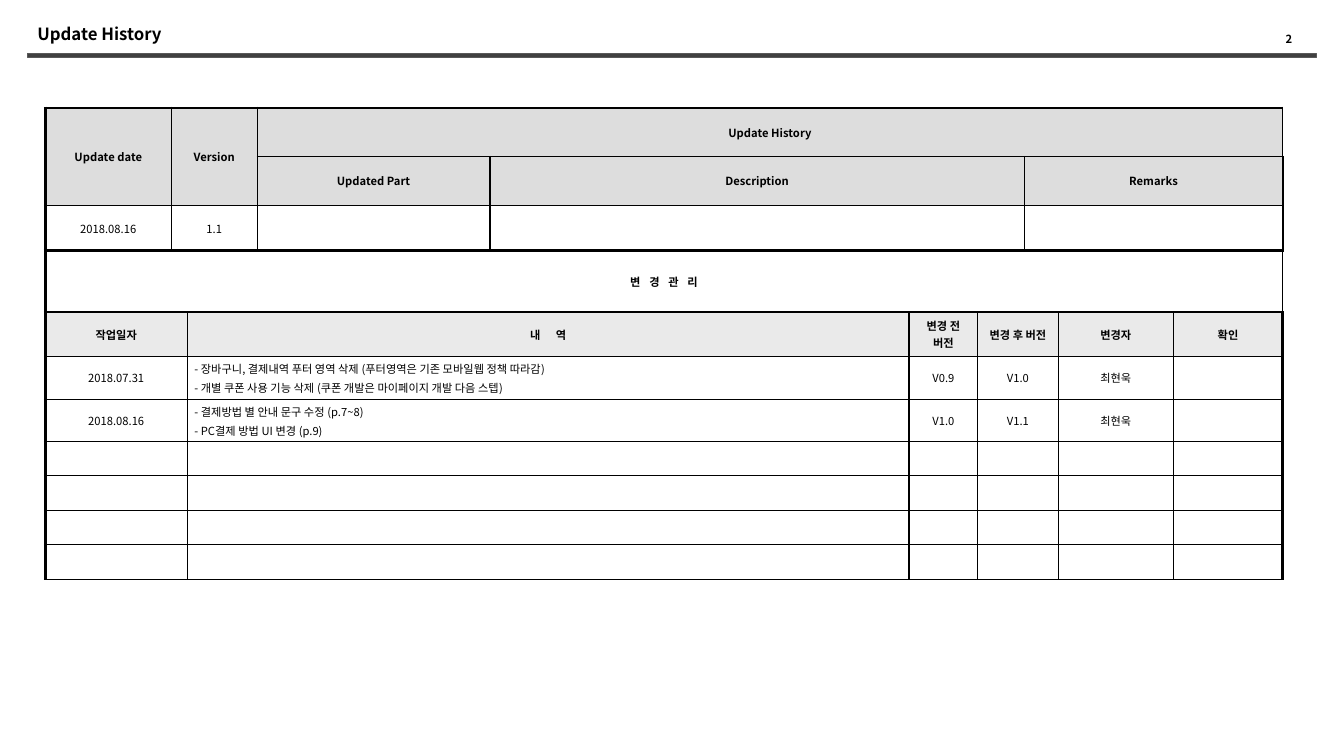
"""Build the update history page: a title bar and two revision tables."""
from lxml import etree
from pptx import Presentation
from pptx.dml.color import RGBColor
from pptx.enum.shapes import MSO_SHAPE
from pptx.enum.text import MSO_ANCHOR, PP_ALIGN
from pptx.oxml.ns import qn
from pptx.util import Cm, Pt

RECTANGLE = MSO_SHAPE.RECTANGLE
MIDDLE = MSO_ANCHOR.MIDDLE
LEFT, CENTER = PP_ALIGN.LEFT, PP_ALIGN.CENTER
FONT = "Noto Sans CJK KR"
COLOURS = {"ink": "000000", "bar": "404040", "bar_edge": "595959",
           "header": "DDDDDD", "subheader": "EAEAEA"}
THIN, THICK = 1, 2.25
TABLE_LEFT = 1.14

RELEASE_COLUMNS = [3.18, 2.16, 5.87, 13.46, 6.52]
RELEASE_HEIGHTS = [1.22, 1.24, 1.14]
RELEASE_ROWS = [
    ["Update date", "Version", "Update History", "", ""],
    ["", "", "Updated Part", "Description", "Remarks"],
    ["2018.08.16", "1.1", "", "", ""],
]
CHANGE_COLUMNS = [3.58, 18.19, 1.73, 2.03, 2.9, 2.76]
CHANGE_HEIGHTS = [1.54, 1.12, 1.08, 1.06] + [0.87] * 4
CHANGE_ROWS = [
    ["변 경 관 리"] + [""] * 5,
    ["작업일자", "내 역", "변경 전 버전", "변경 후 버전", "변경자", "확인"],
    ["2018.07.31",
     "- 장바구니, 결제내역 푸터 영역 삭제 (푸터영역은 기존 모바일웹 정책 따라감)\n"
     "- 개별 쿠폰 사용 기능 삭제 (쿠폰 개발은 마이페이지 개발 다음 스텝)",
     "V0.9", "V1.0", "최현욱", ""],
    ["2018.08.16",
     "- 결제방법 별 안내 문구 수정 (p.7~8)\n- PC결제 방법 UI 변경 (p.9)",
     "V1.0", "V1.1", "최현욱", ""],
] + [[""] * 6 for _ in range(4)]
LETTER_SPACING = {"변 경 관 리": 2.2, "내 역": 4.6}


def colour(name):
    """Return the named colour."""
    return RGBColor.from_string(COLOURS[name])


def format_span(span, size, bold):
    """Set the font of a run for Latin and Korean letters."""
    font = span.font
    font.name, font.size, font.bold = FONT, Pt(size), bold
    font.color.rgb = colour("ink")
    properties = span._r.get_or_add_rPr()
    etree.SubElement(properties, qn("a:ea")).set("typeface", FONT)
    if span.text in LETTER_SPACING:
        properties.set("spc", str(round(LETTER_SPACING[span.text] * 100)))


def set_margins(target, across, down):
    """Set the side and the top and bottom insets."""
    target.margin_left = target.margin_right = Cm(across)
    target.margin_top = target.margin_bottom = Cm(down)


def add_label(page, text, place, size, align, margins):
    """Add a bold line of text."""
    box = page.shapes.add_textbox(*map(Cm, place))
    frame = box.text_frame
    frame.word_wrap = True
    set_margins(frame, *margins)
    frame.text = text
    para = frame.paragraphs[0]
    para.alignment = align
    format_span(para.runs[0], size, True)


def add_title_bar(page):
    """Add the dark rule below the title."""
    bar = page.shapes.add_shape(RECTANGLE, Cm(0.69), Cm(1.35), Cm(32.49), Cm(0.1))
    bar.shadow.inherit = False
    bar.fill.solid()
    bar.fill.fore_color.rgb = colour("bar")
    bar.line.color.rgb = colour("bar_edge")
    bar.line.width = Pt(0.5)


def set_borders(cell, widths):
    """Draw the left, right, top and bottom borders of a cell."""
    properties = cell._tc.get_or_add_tcPr()
    for index, (side, width) in enumerate(zip("LRTB", widths)):
        line = etree.Element(qn(f"a:ln{side}"), w=str(Pt(width)))
        fill = etree.SubElement(line, qn("a:solidFill"))
        etree.SubElement(fill, qn("a:srgbClr")).set("val", COLOURS["ink"])
        properties.insert(index, line)


def fill_cell(cell, text, bold, fill, margins):
    """Write the text of a cell and set its look."""
    cell.vertical_anchor = MIDDLE
    set_margins(cell, *margins)
    if fill:
        cell.fill.solid()
        cell.fill.fore_color.rgb = colour(fill)
    else:
        cell.fill.background()
    cell.text_frame.text = text
    for para in cell.text_frame.paragraphs:
        para.alignment = LEFT if "\n" in text else CENTER
        para.space_before = para.space_after = Pt(1)
        for span in para.runs:
            format_span(span, 8, bold)
        if not para.runs:
            etree.SubElement(para._p, qn("a:endParaRPr")).set("sz", "800")


def add_grid(page, top, columns, heights, rows, fills, margins, bottom):
    """Add a table with thick outer and thin inner borders."""
    place = map(Cm, (TABLE_LEFT, top, sum(columns), sum(heights)))
    table = page.shapes.add_table(len(rows), len(columns), *place).table
    table.first_row = table.horz_banding = False
    for column, width in zip(table.columns, columns):
        column.width = Cm(width)
    for row, height in zip(table.rows, heights):
        row.height = Cm(height)
    for r, texts in enumerate(rows):
        for c, text in enumerate(texts):
            cell = table.cell(r, c)
            fill = fills[r] if r < len(fills) else None
            fill_cell(cell, text, r < len(fills), fill, margins)
            set_borders(cell, (THICK if c == 0 else THIN,
                               THICK if c == len(columns) - 1 else THIN,
                               THICK if r == 0 else THIN,
                               bottom if r == len(rows) - 1 else THIN))
    return table


def main():
    """Build the page and save it."""
    deck = Presentation()
    deck.slide_width, deck.slide_height = Cm(33.87), Cm(19.05)
    page = deck.slides.add_slide(deck.slide_layouts[6])
    add_title_bar(page)
    add_label(page, "2", (31.85, 0.74, 1.27, 0.48), 8, CENTER, (0.15, 0.08))
    add_label(page, "Update History", (0.71, 0.51, 32.46, 0.94), 12, LEFT, (0.23, 0.1))

    releases = add_grid(page, 2.72, RELEASE_COLUMNS, RELEASE_HEIGHTS, RELEASE_ROWS,
                        ["header", "header"], (0.25, 0.13), THICK)
    for column in (0, 1):
        releases.cell(0, column).merge(releases.cell(1, column))
    releases.cell(0, 2).merge(releases.cell(0, 4))

    changes = add_grid(page, 6.32, CHANGE_COLUMNS, CHANGE_HEIGHTS, CHANGE_ROWS,
                       [None, "subheader"], (0.18, 0.1), THIN)
    changes.cell(0, 0).merge(changes.cell(0, 5))
    deck.save("out.pptx")


if __name__ == "__main__":
    main()
